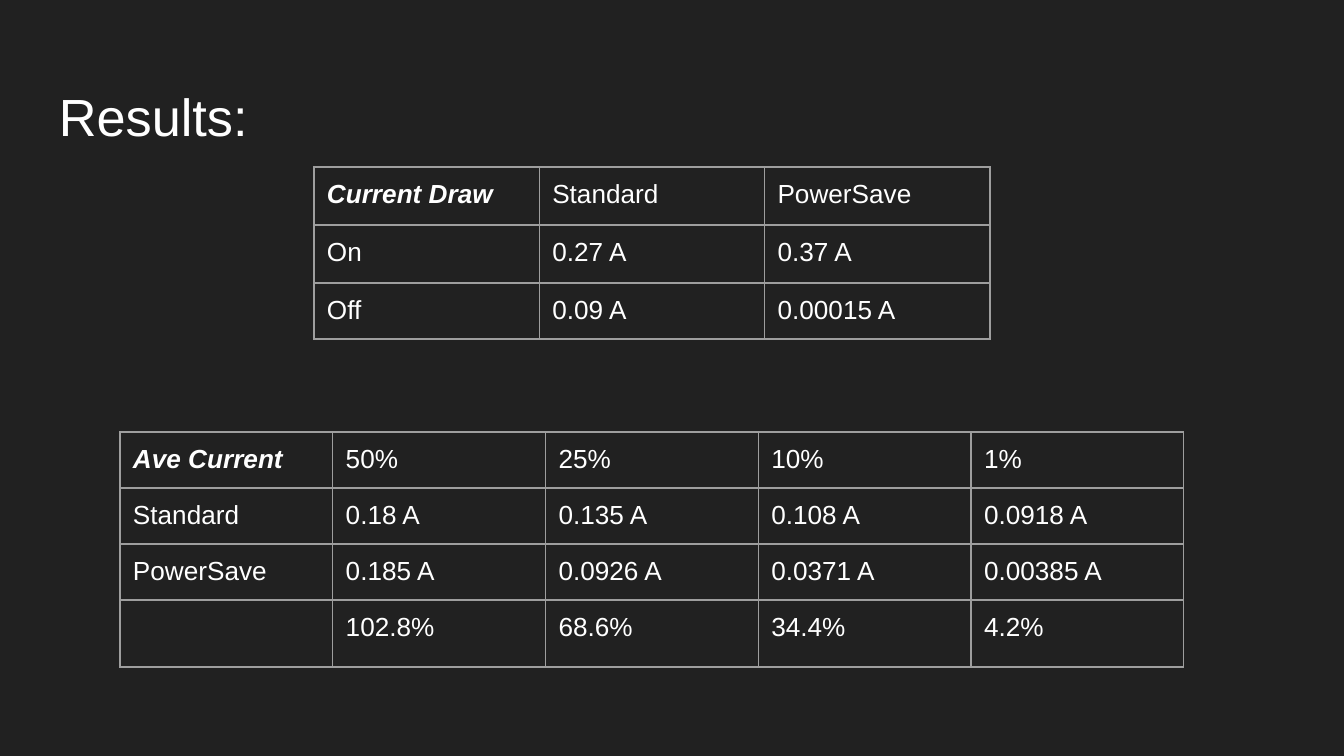
from dataclasses import dataclass

from lxml import etree
from pptx import Presentation
from pptx import util as u
from pptx.dml.color import RGBColor
from pptx.enum import text as t
from pptx.oxml.ns import qn

SCALE = 914400 / 134.4  # EMU per px
PAD = 13
WHITE, GREY, DARK = "FFFFFF", "9E9E9E", "212121"


@dataclass
class Grid:
    left: int
    top: int
    width: int
    rows: list[int]
    data: list[list[str]]


def px(n: float) -> u.Emu:
    return u.Emu(round(n * SCALE))


def paint(target, color: str) -> None:
    target.rgb = RGBColor.from_string(color)


def write(frame, words: str, size=14, bold=False, italic=False, color=WHITE) -> None:
    para = frame.paragraphs[0]
    para.alignment = t.PP_ALIGN.LEFT
    run = para.add_run()
    run.text = words
    font = run.font
    font.name, font.size = "Arial", u.Pt(size)
    font.bold, font.italic = bold, italic
    paint(font.color, color)


def border(cell, color: str) -> None:
    props = cell._tc.get_or_add_tcPr()
    for side in ("lnL", "lnR", "lnT", "lnB"):
        line = etree.SubElement(props, qn(f"a:{side}"), w=str(u.Pt(0.75)))
        fill = etree.SubElement(line, qn("a:solidFill"))
        etree.SubElement(fill, qn("a:srgbClr"), val=color)


def draw(slide, grid: Grid) -> None:
    count = len(grid.data[0])
    frame = slide.shapes.add_table(
        len(grid.rows), count, px(grid.left), px(grid.top),
        px(grid.width), px(sum(grid.rows)))
    table = frame.table
    table.first_row = table.horz_banding = False
    for col in table.columns:
        col.width = px(grid.width / count)
    for r, (high, words) in enumerate(zip(grid.rows, grid.data)):
        table.rows[r].height = px(high)
        for c, word in enumerate(words):
            cell = table.cell(r, c)
            cell.margin_left = cell.margin_right = px(PAD)
            cell.margin_top = cell.margin_bottom = px(PAD)
            border(cell, GREY)
            cell.fill.background()
            if word:
                head = r == c == 0
                write(cell.text_frame, word, bold=head, italic=head)


GRIDS = [
    Grid(314, 167, 676, [58, 58, 56], [
        ["Current Draw", "Standard", "PowerSave"],
        ["On", "0.27 A", "0.37 A"],
        ["Off", "0.09 A", "0.00015 A"],
    ]),
    Grid(120, 432, 1064, [56, 56, 56, 64], [
        ["Ave Current", "50%", "25%", "10%", "1%"],
        ["Standard", "0.18 A", "0.135 A", "0.108 A", "0.0918 A"],
        ["PowerSave", "0.185 A", "0.0926 A", "0.0371 A", "0.00385 A"],
        ["", "102.8%", "68.6%", "34.4%", "4.2%"],
    ]),
]


def main() -> None:
    deck = Presentation()
    deck.slide_width, deck.slide_height = px(1344), px(756)
    slide = deck.slides.add_slide(deck.slide_layouts[5])
    back = slide.background.fill
    back.solid()
    paint(back.fore_color, DARK)

    # Title
    title = slide.shapes.title
    title.left, title.top = px(46), px(66)
    title.width, title.height = px(1252), px(85)
    frame = title.text_frame
    frame.word_wrap = True
    frame.auto_size = t.MSO_AUTO_SIZE.NONE
    frame.vertical_anchor = t.MSO_ANCHOR.TOP
    frame.margin_left = frame.margin_right = px(PAD)
    frame.margin_top, frame.margin_bottom = px(18), px(0)
    write(frame, "Results:", size=28)

    # Tables
    for grid in GRIDS:
        draw(slide, grid)
    deck.save("out.pptx")


if __name__ == "__main__":
    main()
